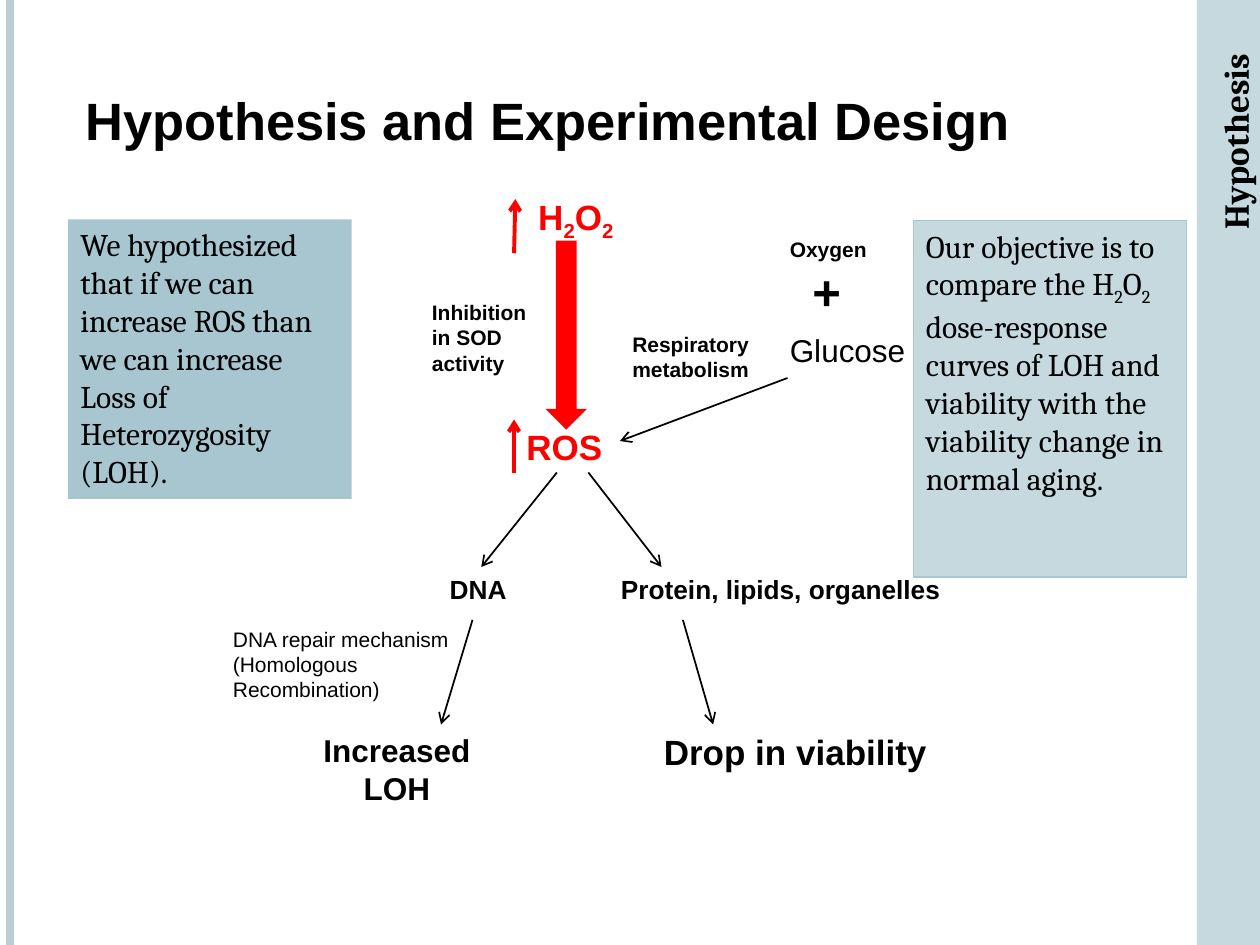
from lxml import etree
from pptx import Presentation
from pptx import util as u
from pptx.dml.color import RGBColor
from pptx.enum import shapes, text
from pptx.oxml import ns

PX = 9144
BLACK = RGBColor(0x00, 0x00, 0x00)
RED = RGBColor(0xFF, 0x00, 0x00)
RAIL = RGBColor(0xBA, 0xCD, 0xD4)
PALE = RGBColor(0xC5, 0xD9, 0xDF)
BLUE = RGBColor(0xA8, 0xC6, 0xD0)
LEFT, CENTER = text.PP_ALIGN.LEFT, text.PP_ALIGN.CENTER
TOP, MIDDLE, BOTTOM = text.MSO_ANCHOR.TOP, text.MSO_ANCHOR.MIDDLE, text.MSO_ANCHOR.BOTTOM

deck = Presentation()
deck.slide_width, deck.slide_height = 1000 * PX, 750 * PX
page = deck.slides.add_slide(deck.slide_layouts[6])


def add_text(words, left, top, width, height, size=12, bold=True, color=BLACK,
             font="Arial", align=LEFT, anchor=TOP, fill=None, line=None):
    area = [value * PX for value in (left, top, width, height)]
    if fill is None:
        box = page.shapes.add_textbox(*area)
    else:
        box = page.shapes.add_shape(shapes.MSO_SHAPE.RECTANGLE, *area)
        box.shadow.inherit = False
        box.fill.solid()
        box.fill.fore_color.rgb = fill
        if line is None:
            box.line.fill.background()
        else:
            box.line.color.rgb = line
            box.line.width = u.Pt(0.75)
    frame = box.text_frame
    frame.word_wrap = True
    frame.vertical_anchor = anchor
    for row, words_in_row in enumerate(words.split("\n")):
        para = frame.add_paragraph() if row else frame.paragraphs[0]
        para.alignment = align
        for index, part in enumerate(words_in_row.split("~")):
            if not part:
                continue
            span = para.add_run()
            span.text = part
            span.font.name = font
            span.font.size = u.Pt(size)
            span.font.bold = bold
            span.font.color.rgb = color
            if index % 2:
                span.font._element.set("baseline", "-25000")
    return box


def add_line(start, end, color=BLACK, weight=1, arrow=True):
    line = page.shapes.add_connector(
        shapes.MSO_CONNECTOR.STRAIGHT, *[value * PX for value in start + end])
    line.line.color.rgb = color
    line.line.width = u.Pt(weight)
    if arrow:
        etree.SubElement(line.line._get_or_add_ln(), ns.qn("a:tailEnd"), type="arrow")
    etree.SubElement(line._element.spPr, ns.qn("a:effectLst"))
    return line


add_line((8, 0), (8, 750), RAIL, 4.5, arrow=False)
add_text("", 950, 0, 50, 750, fill=PALE)
add_text("Hypothesis and Experimental Design", 58, 0, 817, 125, size=30, anchor=BOTTOM)
tab = add_text("Hypothesis", 884, 76, 192, 40, size=20, font="Cambria", anchor=MIDDLE)
tab.rotation = 270

add_line((408, 201), (409, 158), RED, 2.25)
add_line((408, 375), (408, 333), RED, 2.25)
inhibition = page.shapes.add_shape(
    shapes.MSO_SHAPE.DOWN_ARROW, 433 * PX, 191 * PX, 33 * PX, 150 * PX)
inhibition.shadow.inherit = False
inhibition.fill.solid()
inhibition.fill.fore_color.rgb = RED
inhibition.line.fill.background()

add_text("ROS", 358, 333, 180, 69, size=20, color=RED, align=CENTER)
add_text("H~2~O~2~", 367, 150, 180, 44, size=20, color=RED, align=CENTER)
add_text("Inhibition in SOD activity", 333, 233, 103, 71)
add_text("Respiratory metabolism", 492, 258, 117, 50)
add_text("Glucose", 617, 258, 200, 40, size=18, bold=False)
oxygen = add_text("Oxygen\n+", 617, 183, 100, 77)
plus = oxygen.text_frame.paragraphs[1]
plus.runs[0].font.size = u.Pt(28)
plus._p.get_or_add_pPr().set("marL", str(18 * PX))

dna = add_text("DNA ", 292, 450, 180, 35, size=15, align=CENTER)
add_text("Protein, lipids, organelles", 483, 450, 292, 35, size=15)
add_text("DNA repair mechanism\n(Homologous\nRecombination)", 175, 492, 208, 71, bold=False)
add_text("Increased LOH", 225, 575, 180, 71, size=18, align=CENTER)
add_text("Drop in viability", 517, 575, 242, 44, size=20)

add_line((442, 375), (382, 450)).end_connect(dna, 0)
for start, end in (
    ((625, 300), (492, 350)),
    ((467, 375), (525, 450)),
    ((375, 492), (350, 575)),
    ((542, 492), (566, 575)),
):
    add_line(start, end)

add_text("We hypothesized that if we can increase ROS than we can increase "
         "Loss of Heterozygosity (LOH).", 54, 174, 225, 222,
         size=18, bold=False, font="Cambria", fill=BLUE)
add_text("Our objective is to compare the H~2~O~2~ dose-response curves of LOH and "
         "viability with the viability change in normal aging.", 725, 175, 217, 283,
         size=18, bold=False, font="Cambria", fill=PALE, line=BLUE)

deck.save("out.pptx")
